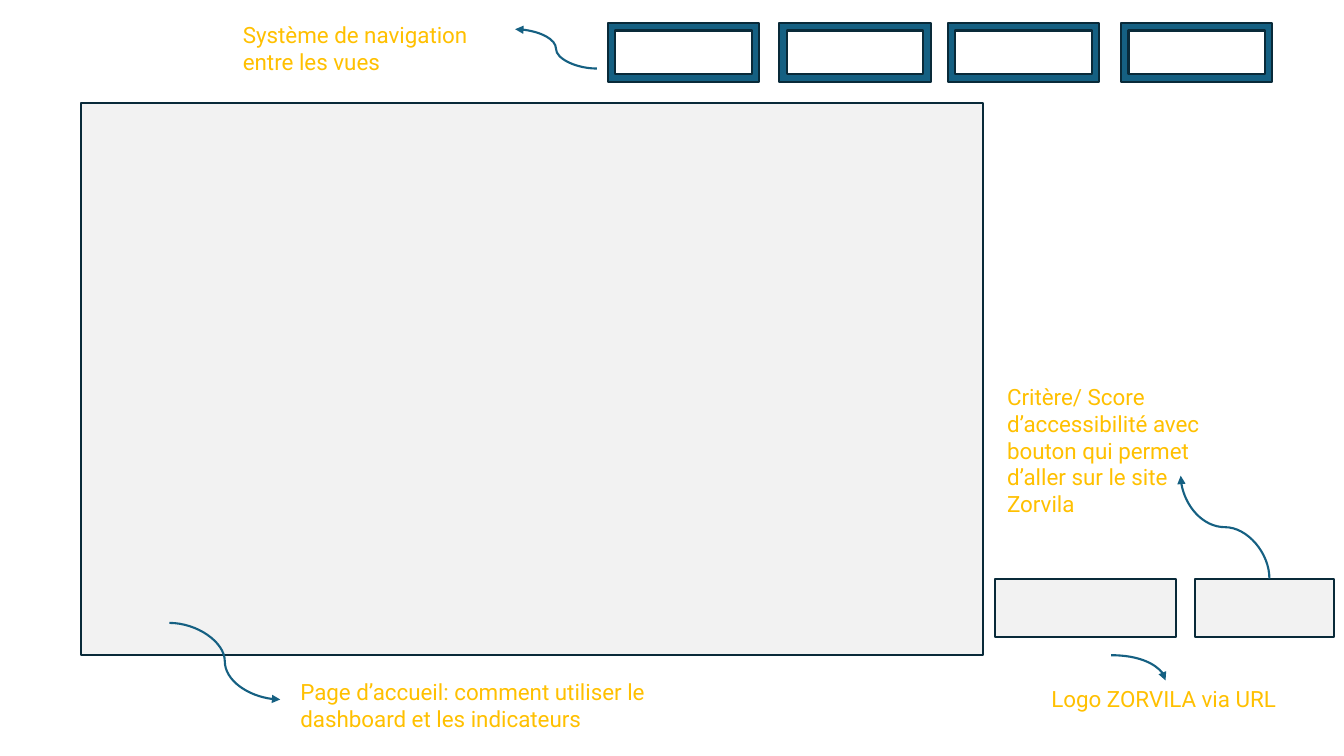
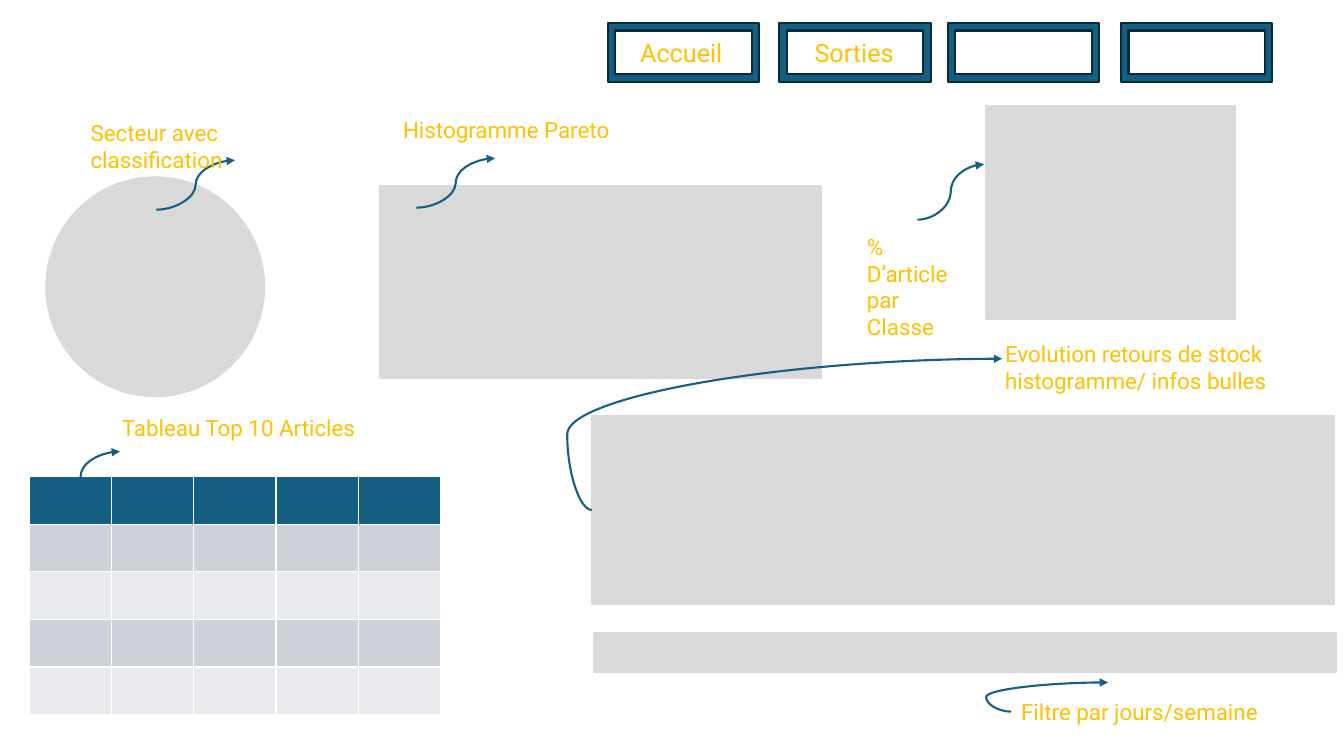
from dataclasses import dataclass

from lxml.etree import SubElement
from pptx import Presentation
from pptx.dml.color import RGBColor
from pptx.enum.shapes import MSO_CONNECTOR, MSO_SHAPE as Preset
from pptx.enum.text import MSO_AUTO_SIZE
from pptx.oxml.ns import qn
from pptx.slide import Slide
from pptx.util import Inches, Pt

FONT = "Roboto"
TEAL = "156082"
DARK_TEAL = "092A39"
AMBER = "FFC000"
PALE_GREY = "F2F2F2"
GREY = "D9D9D9"
BAND_COLOURS = ("CCD2D8", "E8EAED")
LINE_WIDTH = Pt(1.5)
BUTTON_LEFTS = (6.03, 7.73, 9.4, 11.12)


@dataclass(frozen=True)
class Box:
    left: float
    top: float
    width: float
    height: float
    fill: str = GREY
    outline: str = GREY
    preset: Preset = Preset.RECTANGLE


@dataclass(frozen=True)
class Label:
    text: str
    left: float
    top: float
    width: float
    height: float = 0.37
    size: int = 16


@dataclass(frozen=True)
class Arrow:
    """A curved arrow; bend places the middle of the S, as a share of its length."""
    start: tuple[float, float]
    end: tuple[float, float]
    bend: float = 0.5
    leaves_vertically: bool = False
    quarter_turn: bool = False


def colour(code: str) -> RGBColor:
    return RGBColor.from_string(code)


def draw_box(slide: Slide, box: Box) -> None:
    shape = slide.shapes.add_shape(
        box.preset, Inches(box.left), Inches(box.top), Inches(box.width), Inches(box.height))
    shape.shadow.inherit = False
    shape.fill.solid()
    shape.fill.fore_color.rgb = colour(box.fill)
    shape.line.color.rgb = colour(box.outline)
    shape.line.width = LINE_WIDTH


def draw_label(slide: Slide, label: Label) -> None:
    shape = slide.shapes.add_textbox(
        Inches(label.left), Inches(label.top), Inches(label.width), Inches(label.height))
    text_frame = shape.text_frame
    text_frame.word_wrap = True
    text_frame.auto_size = MSO_AUTO_SIZE.SHAPE_TO_FIT_TEXT
    text_frame.text = label.text
    font = text_frame.paragraphs[0].runs[0].font
    font.name = FONT
    font.size = Pt(label.size)
    font.color.rgb = colour(AMBER)


def draw_arrow(slide: Slide, arrow: Arrow) -> None:
    (x1, y1), (x2, y2) = arrow.start, arrow.end
    if arrow.leaves_vertically:
        # The ends before the connector is turned by 270 degrees about its centre
        x, y = (x1 + x2) / 2, (y1 + y2) / 2
        dx, dy = x1 - x, y1 - y
        x1, y1, x2, y2 = x - dy, y + dx, x + dy, y - dx
    connector = slide.shapes.add_connector(
        MSO_CONNECTOR.CURVE, Inches(x1), Inches(y1), Inches(x2), Inches(y2))
    connector.line.color.rgb = colour(TEAL)
    connector.line.width = LINE_WIDTH
    properties = connector._element.spPr
    if arrow.leaves_vertically:
        properties.find(qn("a:xfrm")).set("rot", str(270 * 60000))
    geometry = properties.find(qn("a:prstGeom"))
    if arrow.quarter_turn:
        geometry.set("prst", "curvedConnector2")
    elif arrow.bend != 0.5:
        SubElement(geometry.find(qn("a:avLst")), qn("a:gd"),
                   name="adj1", fmla=f"val {round(arrow.bend * 100000)}")
    SubElement(properties.find(qn("a:ln")), qn("a:tailEnd"), type="triangle")
    SubElement(properties, qn("a:effectLst"))


def draw_table(slide: Slide) -> None:
    table = slide.shapes.add_table(
        5, 5, Inches(0.29), Inches(4.73), Inches(4.08), Inches(2.36)).table
    for index, row in enumerate(table.rows):
        code = BAND_COLOURS[(index - 1) % 2] if index else TEAL
        for cell in row.cells:
            cell.fill.solid()
            cell.fill.fore_color.rgb = colour(code)


def add_view(presentation: Presentation, boxes: list[Box], arrows: list[Arrow],
             labels: list[Label], with_table: bool = False) -> None:
    """Add a slide with the navigation buttons and the given elements."""
    slide = presentation.slides.add_slide(presentation.slide_layouts[6])
    buttons = [Box(left, 0.23, 1.5, 0.58, TEAL, DARK_TEAL, Preset.FRAME)
               for left in BUTTON_LEFTS]
    for box in buttons + boxes:
        draw_box(slide, box)
    if with_table:
        draw_table(slide)
    for arrow in arrows:
        draw_arrow(slide, arrow)
    for label in labels:
        draw_label(slide, label)


def add_home_view(presentation: Presentation) -> None:
    boxes = [
        Box(left, top, width, height, PALE_GREY, DARK_TEAL)
        for left, top, width, height in (
            (0.8, 1.02, 8.95, 5.48), (9.87, 5.74, 1.79, 0.58), (11.85, 5.74, 1.38, 0.58))
    ]
    arrows = [
        Arrow((1.68, 6.18), (2.78, 6.94)),
        Arrow((5.92, 0.68), (5.11, 0.29)),
        Arrow((12.59, 5.74), (11.71, 4.72), leaves_vertically=True),
        Arrow((11.02, 6.5), (11.56, 6.75), quarter_turn=True),
    ]
    labels = [
        Label("Page d’accueil: comment utiliser le dashboard et les indicateurs",
              2.88, 6.68, 4.51, 0.64),
        Label("Système de navigation entre les vues", 2.31, 0.16, 2.58, 0.64),
        Label("Critère/ Score d’accessibilité avec bouton qui permet d’aller sur le site Zorvila",
              9.89, 3.75, 2.46, 1.45),
        Label("Logo ZORVILA via URL", 10.33, 6.75, 2.46),
    ]
    add_view(presentation, boxes, arrows, labels)


def add_stock_view(presentation: Presentation) -> None:
    boxes = [
        Box(0.46, 1.76, 2.16, 2.17, preset=Preset.FLOWCHART_CONNECTOR),
        Box(3.77, 1.85, 4.37, 1.9),
        Box(5.87, 4.13, 7.36, 1.86),
        Box(9.78, 1.05, 2.47, 2.11),
        Box(5.89, 6.28, 7.36, 0.39),
    ]
    arrows = [
        Arrow((1.55, 2.08), (2.33, 1.59)),
        Arrow((4.13, 2.06), (4.91, 1.57)),
        Arrow((5.87, 5.06), (9.94, 3.56), bend=-0.06),
        Arrow((0.41, 4.98), (1.19, 4.48)),
        Arrow((9.1, 2.18), (9.76, 1.63)),
        Arrow((10.03, 7.06), (10.99, 6.77), bend=-0.26),
    ]
    labels = [
        Label("Accueil", 6.25, 0.32, 1.25, 0.4, 18),
        Label("Sorties", 7.98, 0.32, 1.25, 0.4, 18),
        Label("Secteur avec classification", 0.8, 1.13, 2.79),
        Label("Histogramme Pareto", 3.9, 1.1, 4.26),
        Label("Evolution retours de stock histogramme/ infos bulles", 9.87, 3.33, 3.57, 0.64),
        Label("Tableau Top 10 Articles", 1.11, 4.06, 2.79),
        Label("% D’article par Classe", 8.5, 2.26, 1.21, 1.18),
        Label("Filtre par jours/semaine", 10.03, 6.88, 4.26),
    ]
    add_view(presentation, boxes, arrows, labels, with_table=True)


def main() -> None:
    presentation = Presentation()
    presentation.slide_width = Inches(13.33)
    presentation.slide_height = Inches(7.5)
    add_home_view(presentation)
    add_stock_view(presentation)
    presentation.save("out.pptx")


if __name__ == "__main__":
    main()
